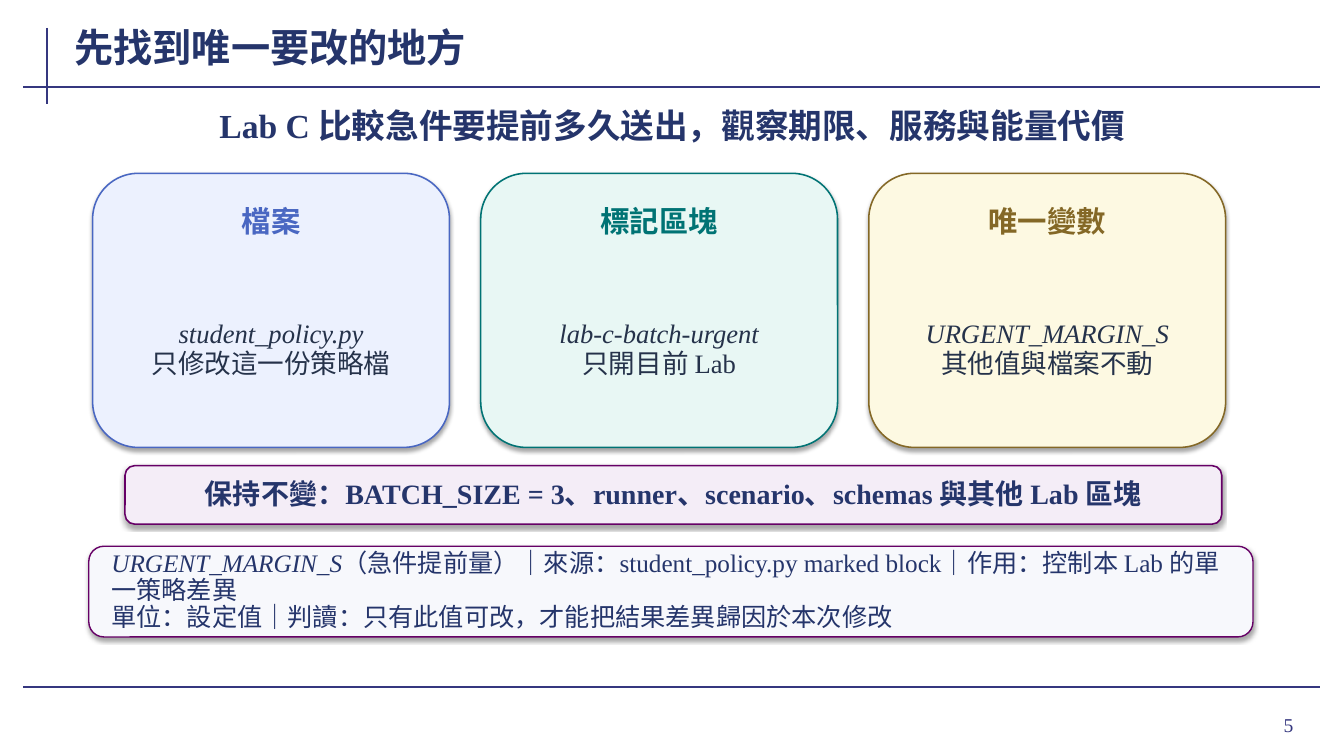
from lxml import etree
from pptx import Presentation
from pptx.dml.color import RGBColor
from pptx.enum.shapes import MSO_CONNECTOR as CONNECTOR, MSO_SHAPE as SHAPE
from pptx.enum.text import MSO_ANCHOR as ANCHOR, PP_ALIGN as ALIGN
from pptx.oxml import parse_xml
from pptx.oxml.ns import nsdecls, qn
from pptx.util import Pt

FONT = "Times New Roman"
COLORS = {
    "rule": "35377F", "navy": "25356B", "body": "25324A",
    "blue": "4967C2", "blue_pale": "ECF1FE",
    "teal": "007374", "teal_pale": "E8F7F4",
    "gold": "846826", "gold_pale": "FDF9E2",
    "purple": "660066", "purple_pale": "F4EDF7", "note_pale": "F7F8FC",
}
CARDS = [
    ("檔案", "student_policy.py", "只修改這一份策略檔", "blue"),
    ("標記區塊", "lab-c-batch-urgent", "只開目前 Lab", "teal"),
    ("唯一變數", "URGENT_MARGIN_S", "其他值與檔案不動", "gold"),
]
SHADOW = (
    f'<a:effectLst {nsdecls("a")}><a:outerShdw blurRad="{Pt(3.1)}" dist="{Pt(1.8)}" '
    'dir="5400000" algn="ctr" rotWithShape="0"><a:srgbClr val="000000">'
    '<a:alpha val="35000"/></a:srgbClr></a:outerShdw></a:effectLst>'
)


def rgb(name):
    return RGBColor.from_string(COLORS[name])


def write(holder, paragraphs, size, color, bold=False, align=ALIGN.CENTER,
          spacing=None, inset=(1.5, 0.75)):
    frame = holder.text_frame
    side, edge = (Pt(value) for value in inset)
    settings = {
        "word_wrap": True, "vertical_anchor": ANCHOR.MIDDLE,
        "margin_left": side, "margin_right": side,
        "margin_top": edge, "margin_bottom": edge,
    }
    for key, value in settings.items():
        setattr(frame, key, value)
    for index, pieces in enumerate(paragraphs):
        paragraph = frame.paragraphs[0] if index == 0 else frame.add_paragraph()
        paragraph.alignment = align
        if spacing:
            paragraph.line_spacing = spacing
        for words, italic in pieces:
            run = paragraph.add_run()
            run.text = words
            style = {"name": FONT, "size": Pt(size), "bold": bold, "italic": italic}
            for key, value in style.items():
                setattr(run.font, key, value)
            run.font.color.rgb = rgb(color)


def add_text(slide, box, paragraphs, size, color, **options):
    holder = slide.shapes.add_textbox(*map(Pt, box))
    write(holder, paragraphs, size, color, **options)


def add_panel(slide, box, fill, edge, weight=1.1):
    panel = slide.shapes.add_shape(SHAPE.ROUNDED_RECTANGLE, *map(Pt, box))
    panel.fill.solid()
    panel.fill.fore_color.rgb = rgb(fill)
    panel.line.color.rgb = rgb(edge)
    panel.line.width = Pt(weight)
    panel._element.spPr.append(parse_xml(SHADOW))
    return panel


def add_rule(slide, x1, y1, x2, y2):
    rule = slide.shapes.add_connector(CONNECTOR.STRAIGHT, *map(Pt, (x1, y1, x2, y2)))
    rule.line.color.rgb = rgb("rule")
    rule.line.width = Pt(1.5)
    etree.SubElement(rule._element.spPr, qn("a:effectLst"))


def draw_frame(slide, box):
    left, top, width, height = box
    right, bottom = left + width, top + height
    add_rule(slide, left + 17, top - 42, left + 17, top + 12)
    add_rule(slide, left, top, right, top)
    add_rule(slide, left, bottom, right, bottom)
    add_text(slide, (right - 82, bottom + 8, 70, 37.5), [[("5", False)]], 14, "rule",
             align=ALIGN.RIGHT, inset=(7.2, 3.6))


def draw_headings(slide, box):
    left, top, width, height = box
    add_text(slide, (left, top, width, 38), [[("先找到唯一要改的地方", False)]],
             28, "navy", bold=True, align=ALIGN.LEFT, inset=(1.5, 0))
    add_text(slide, (left + 16, top + height - 37.5, 824.5, 37.5),
             [[("Lab C 比較急件要提前多久送出，觀察期限、服務與能量代價", False)]],
             24, "navy", bold=True)


def draw_card(slide, box, heading, target, advice, color):
    left, top, width, height = box
    add_panel(slide, box, f"{color}_pale", color)
    add_text(slide, (left + 11.5, top + 14.4, width - 23, 41.8), [[(heading, False)]],
             21, color, bold=True, spacing=0.92, inset=(2.2, 0.75))
    add_text(slide, (left + 13, top + 70.5, width - 26, height - 85),
             [[(target, True)], [(advice, False)]],
             19, "body", spacing=0.94, inset=(3.6, 0.75))


def draw_cards(slide, box, gap=22.3):
    left, top, width, height = box
    card_width = (width - gap * (len(CARDS) - 1)) / len(CARDS)
    for index, card in enumerate(CARDS):
        card_left = left + index * (card_width + gap)
        draw_card(slide, (card_left, top, card_width, height), *card)


def draw_constants(slide, box):
    strip = add_panel(slide, box, "purple_pale", "purple")
    words = "保持不變：BATCH_SIZE = 3、runner、scenario、schemas 與其他 Lab 區塊"
    write(strip, [[(words, False)]], 20, "navy", bold=True, spacing=0.95, inset=(8.6, 2.9))


def draw_note(slide, box):
    note = add_panel(slide, box, "note_pale", "purple", 1)
    source = "（急件提前量）｜來源：student_policy.py marked block｜作用：控制本 Lab 的單一策略差異"
    reading = "單位：設定值｜判讀：只有此值可改，才能把結果差異歸因於本次修改"
    write(note, [[("URGENT_MARGIN_S", True), (source, False)], [(reading, False)]],
          18, "navy", align=ALIGN.LEFT, spacing=0.9, inset=(13, 2.2))


def main():
    deck = Presentation()
    deck.slide_width, deck.slide_height = Pt(960), Pt(540)
    slide = deck.slides.add_slide(deck.slide_layouts[6])
    draw_frame(slide, (16.5, 62, 926.5, 429))
    draw_headings(slide, (51.8, 14.4, 745, 93.6))
    draw_cards(slide, (66.2, 123.8, 809.3, 195.8))
    draw_constants(slide, (89.3, 332.6, 783.4, 41.8))
    draw_note(slide, (63.4, 390.2, 831.6, 64.8))
    deck.save("out.pptx")


if __name__ == "__main__":
    main()
